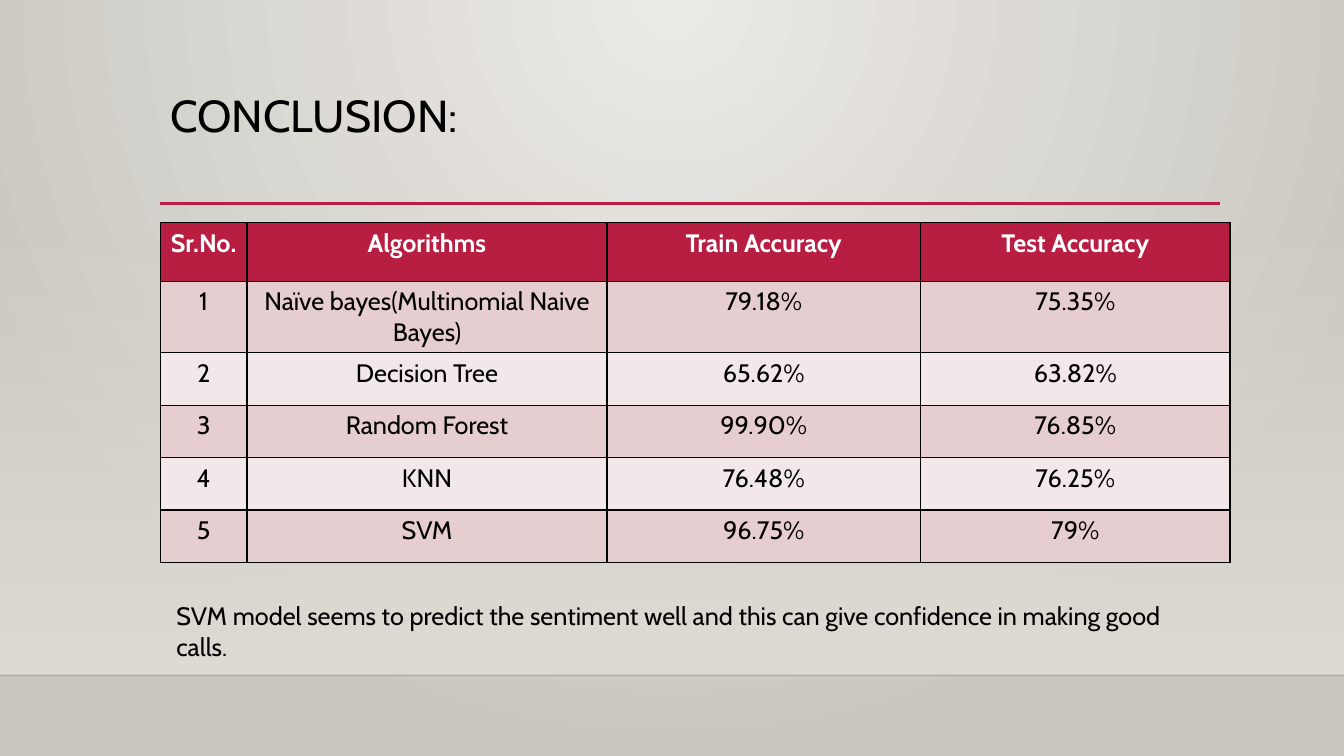
import pptx
import pptx.dml.color
import pptx.enum.shapes
import pptx.enum.text
import pptx.oxml
import pptx.oxml.ns
import pptx.util

Inches = pptx.util.Inches
Pt = pptx.util.Pt
qn = pptx.oxml.ns.qn
NS = pptx.oxml.ns.nsdecls("a")

FONT = "Cabin"
RED = "B71E42"
BANDS = ("E6CDCF", "F3E8E9")
COL_WIDTHS = (0.86, 3.57, 3.11, 3.07)
ROW_HEIGHTS = (0.58, 0.58, 0.52, 0.52, 0.52, 0.52)
ROWS = (
    ("Sr.No.", "Algorithms", "Train Accuracy", "Test Accuracy"),
    ("1", "Naïve bayes(Multinomial Naive Bayes)", "79.18%", "75.35%"),
    ("2", "Decision Tree", "65.62%", "63.82%"),
    ("3", "Random Forest", "99.90%", "76.85%"),
    ("4", "KNN", "76.48%", "76.25%"),
    ("5", "SVM", "96.75%", "79%"),
)


def rgb(color):
    """Turn a hex string into a colour."""
    return pptx.dml.color.RGBColor.from_string(color)


def write(tf, text, size=18, color="000000", bold=False, align="LEFT", spacing=None):
    """Put one formatted paragraph into a text frame."""
    tf.word_wrap = True
    p = tf.paragraphs[0]
    p.alignment = getattr(pptx.enum.text.PP_ALIGN, align)
    p.line_spacing = spacing
    r = p.add_run()
    r.text = text
    r.font.name = FONT
    r.font.size = Pt(size)
    r.font.bold = bold
    r.font.color.rgb = rgb(color)


def set_alpha(element, percent):
    """Set the opacity of the first RGB colour inside an element."""
    clr = element.find(".//" + qn("a:srgbClr"))
    clr.append(pptx.oxml.parse_xml(f'<a:alpha {NS} val="{percent * 1000}"/>'))


def set_gradient(fill, start, end):
    """Give a fill a two-stop gradient."""
    fill.gradient()
    for stop, color, position in zip(fill.gradient_stops, (start, end), (0, 1)):
        stop.color.rgb = rgb(color)
        stop.position = position


def add_background(s):
    """Light the slide radially from the top centre."""
    set_gradient(s.background.fill, "ECEAE7", "CAC7C1")
    lin = s.element.find(".//" + qn("a:lin"))
    lin.getparent().replace(lin, pptx.oxml.parse_xml(
        f'<a:path {NS} path="circle">'
        '<a:fillToRect l="43000" t="0" r="43000" b="100000"/></a:path>'))


def add_panel(s, left, top, width, height):
    """Add a rectangle that fades in downwards."""
    sp = s.shapes.add_shape(
        pptx.enum.shapes.MSO_SHAPE.RECTANGLE,
        Inches(left), Inches(top), Inches(width), Inches(height))
    sp.shadow.inherit = False
    sp.line.fill.background()
    set_gradient(sp.fill, "DFDBD5", "DFDBD5")
    sp.fill.gradient_angle = 270
    set_alpha(sp.element.spPr, 0)


def add_rule(s, left, right, y, color, width, opacity=100):
    """Add a horizontal line."""
    line = s.shapes.add_connector(
        pptx.enum.shapes.MSO_CONNECTOR.STRAIGHT,
        Inches(left), Inches(y), Inches(right), Inches(y))
    line.line.color.rgb = rgb(color)
    line.line.width = Pt(width)
    if opacity < 100:
        set_alpha(line.element.spPr, opacity)
    line.element.spPr.append(pptx.oxml.parse_xml(f"<a:effectLst {NS}/>"))


def set_title(s, text):
    """Place and fill the title placeholder."""
    sp = s.shapes.title
    sp.left, sp.top = Inches(1.59), Inches(0.88)
    sp.width, sp.height = Inches(10.5), Inches(0.87)
    tf = sp.text_frame
    tf.vertical_anchor = pptx.enum.text.MSO_ANCHOR.TOP
    tf.auto_size = pptx.enum.text.MSO_AUTO_SIZE.NONE
    write(tf, text, size=32, spacing=0.9)


def set_borders(cell):
    """Draw thin black borders round a cell."""
    tcPr = cell._tc.get_or_add_tcPr()
    for i, side in enumerate(("lnL", "lnR", "lnT", "lnB")):
        tcPr.insert(i, pptx.oxml.parse_xml(
            f'<a:{side} {NS} w="12700"><a:solidFill><a:srgbClr val="000000"/>'
            f'</a:solidFill><a:prstDash val="solid"/></a:{side}>'))


def add_accuracy_table(s, left, top):
    """Add the table of algorithms and accuracies."""
    table = s.shapes.add_table(
        len(ROWS), len(COL_WIDTHS), Inches(left), Inches(top),
        Inches(sum(COL_WIDTHS)), Inches(sum(ROW_HEIGHTS))).table
    for column, width in zip(table.columns, COL_WIDTHS):
        column.width = Inches(width)
    for i, (values, height) in enumerate(zip(ROWS, ROW_HEIGHTS)):
        header = i == 0
        table.rows[i].height = Inches(height)
        for j, value in enumerate(values):
            cell = table.cell(i, j)
            cell.fill.solid()
            cell.fill.fore_color.rgb = rgb(RED if header else BANDS[(i - 1) % 2])
            set_borders(cell)
            write(cell.text_frame, value, color="FFFFFF" if header else "000000",
                  bold=header, align="CENTER")


def add_text(s, text, left, top, width, height):
    """Add a wrapping text box."""
    sp = s.shapes.add_textbox(Inches(left), Inches(top), Inches(width), Inches(height))
    sp.text_frame.auto_size = pptx.enum.text.MSO_AUTO_SIZE.SHAPE_TO_FIT_TEXT
    write(sp.text_frame, text)


def main():
    """Build and save the slide."""
    prs = pptx.Presentation()
    prs.slide_width, prs.slide_height = Inches(13.33), Inches(7.5)
    s = prs.slides.add_slide(prs.slide_layouts.get_by_name("Title Only"))
    add_background(s)
    add_panel(s, 0, 2.21, 13.33, 4.49)
    add_rule(s, 0, 13.33, 6.7, "000001", 1, opacity=20)
    add_rule(s, 1.59, 12.1, 2.02, RED, 2.5)
    set_title(s, "CONCLUSION:")
    add_accuracy_table(s, 1.59, 2.21)
    add_text(s, "SVM model seems to predict the sentiment well and this can give "
             "confidence in making good calls.", 1.65, 5.91, 10.15, 0.4)
    prs.save("out.pptx")


if __name__ == "__main__":
    main()
